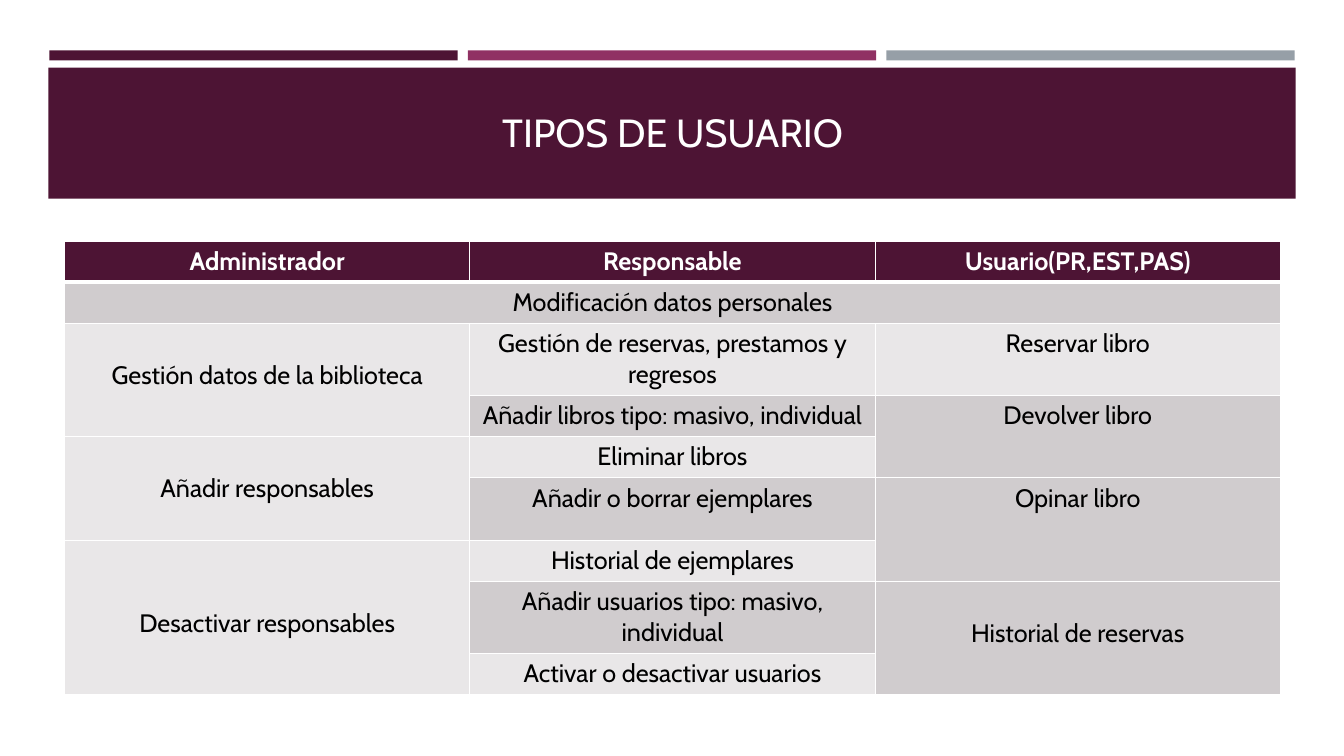
"""Build the slide on user types, with a title band and a table of permissions."""
from lxml.etree import SubElement
from pptx import Presentation
from pptx.dml.color import RGBColor
from pptx.enum.shapes import MSO_SHAPE
from pptx.enum.text import MSO_ANCHOR, PP_ALIGN
from pptx.oxml.ns import qn
from pptx.util import Inches, Pt

PLUM = RGBColor(0x4D, 0x14, 0x34)
MAGENTA = RGBColor(0x90, 0x31, 0x63)
SLATE = RGBColor(0x96, 0x9F, 0xA7)
DARK_BAND = RGBColor(0xD0, 0xCC, 0xCE)
LIGHT_BAND = RGBColor(0xE9, 0xE7, 0xE8)
WHITE = RGBColor(0xFF, 0xFF, 0xFF)
BLACK = RGBColor(0x00, 0x00, 0x00)
FONT = "Cabin"
LINE_HEIGHT = 0.31


def add_bar(s, left, top, width, height, color):
    bar = s.shapes.add_shape(MSO_SHAPE.RECTANGLE, Inches(left), Inches(top),
                             Inches(width), Inches(height))
    bar.shadow.inherit = False
    bar.fill.solid()
    bar.fill.fore_color.rgb = color
    bar.line.fill.background()


def set_borders(cell, top, bottom):
    tcPr = cell._tc.get_or_add_tcPr()
    widths = {"a:lnL": 1, "a:lnR": 1, "a:lnT": top, "a:lnB": bottom}
    for tag, width in widths.items():
        ln = SubElement(tcPr, qn(tag), w=str(Pt(width)))
        fill = SubElement(ln, qn("a:solidFill"))
        SubElement(fill, qn("a:srgbClr"), val=str(WHITE))


prs = Presentation()
prs.slide_width, prs.slide_height = Inches(13.33), Inches(7.5)
s = prs.slides.add_slide(prs.slide_layouts[5])

for i, color in enumerate([PLUM, MAGENTA, SLATE]):
    add_bar(s, 0.49 + 4.15 * i, 0.5, 4.05, 0.1, color)
add_bar(s, 0.48, 0.67, 12.37, 1.3, PLUM)

title = s.shapes.title
s.shapes._spTree.append(title._element)
title.left, title.top = Inches(0.64), Inches(0.97)
title.width, title.height = Inches(12.06), Inches(0.62)
tf = title.text_frame
tf.text = "TIPOS DE USUARIO"
tf.vertical_anchor = MSO_ANCHOR.BOTTOM
p = tf.paragraphs[0]
p.alignment = PP_ALIGN.CENTER
font = p.runs[0].font
font.name, font.size, font.color.rgb = FONT, Pt(28), WHITE

rows = [
    ("Administrador", "Responsable", "Usuario(PR,EST,PAS)"),
    ("Modificación datos personales", "", ""),
    ("Gestión datos de la biblioteca",
     "Gestión de reservas, prestamos y regresos", "Reservar libro"),
    ("", "Añadir libros tipo: masivo, individual", "Devolver libro"),
    ("Añadir responsables", "Eliminar libros", ""),
    ("", "Añadir o borrar ejemplares", "Opinar libro"),
    ("Desactivar responsables", "Historial de ejemplares", ""),
    ("", "Añadir usuarios tipo: masivo, individual", "Historial de reservas"),
    ("", "Activar o desactivar usuarios", ""),
]
row_heights = [0.41, 0.41, 0.71, 0.41, 0.41, 0.62, 0.41, 0.71, 0.41]
merges = [((1, 0), (1, 2)), ((2, 0), (3, 0)), ((4, 0), (5, 0)), ((6, 0), (8, 0)),
          ((3, 2), (4, 2)), ((5, 2), (6, 2)), ((7, 2), (8, 2))]
lowered_lines = {(2, 0): 1, (4, 0): 1, (6, 0): 2, (7, 2): 1}

table = s.shapes.add_table(len(rows), 3, Inches(0.64), Inches(2.39),
                           Inches(12.06), Inches(sum(row_heights))).table
for column in table.columns:
    column.width = Inches(4.02)

for r, texts in enumerate(rows):
    table.rows[r].height = Inches(row_heights[r])
    for c, text in enumerate(texts):
        cell = table.cell(r, c)
        set_borders(cell, 3 if r == 1 else 1, 3 if r == 0 else 1)
        cell.fill.solid()
        band = DARK_BAND if r % 2 else LIGHT_BAND
        cell.fill.fore_color.rgb = band if r else PLUM
        cell.margin_top = Inches(0.05 + LINE_HEIGHT * lowered_lines.get((r, c), 0))
        p = cell.text_frame.paragraphs[0]
        p.text = text
        p.alignment = PP_ALIGN.CENTER
        p.font.size = Pt(18)
        for run in p.runs:
            run.font.name, run.font.size, run.font.bold = FONT, Pt(18), r == 0
            run.font.color.rgb = BLACK if r else WHITE

for first, last in merges:
    table.cell(*first).merge(table.cell(*last))

prs.save("out.pptx")
